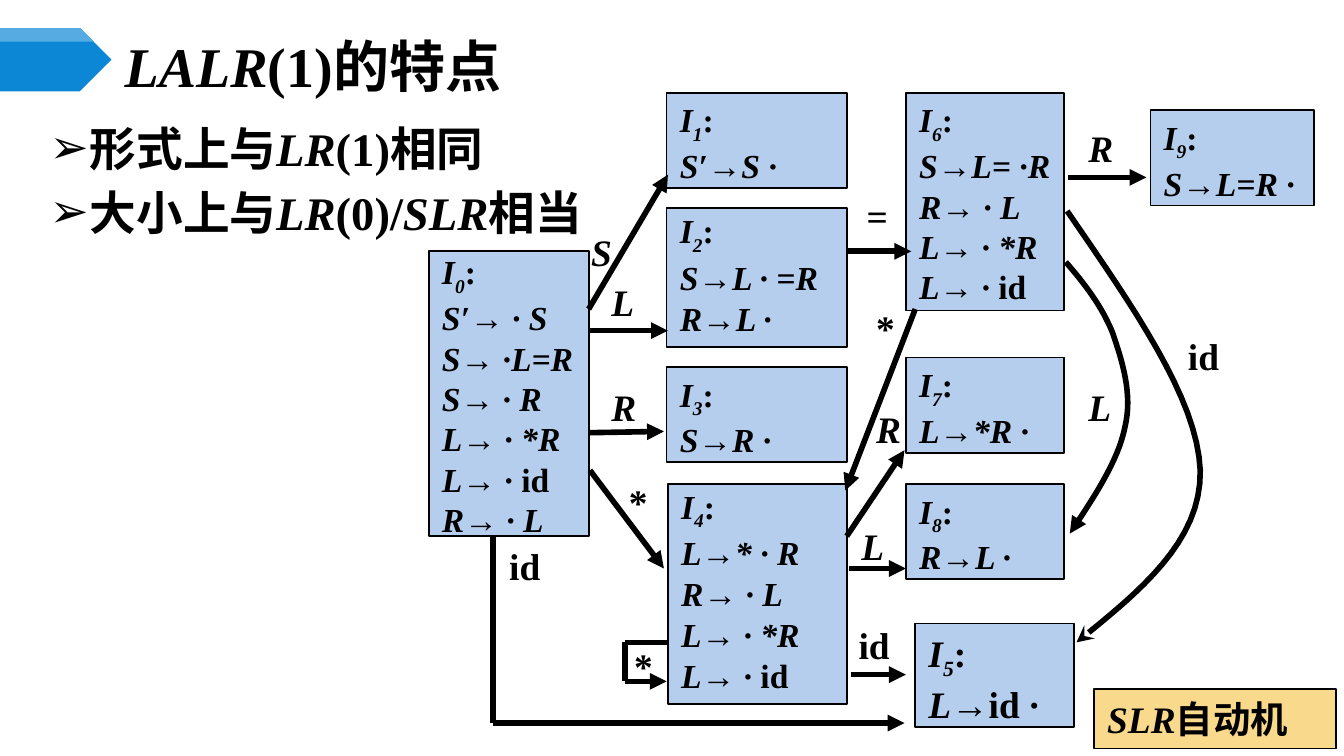
from dataclasses import dataclass

from lxml.etree import SubElement
from pptx import Presentation
from pptx.dml.color import RGBColor as RGB
from pptx.enum.shapes import MSO_CONNECTOR as LINK, MSO_SHAPE as SHAPE
from pptx.enum.text import MSO_ANCHOR as ANCHOR, PP_ALIGN as ALIGN
from pptx.oxml.ns import qn
from pptx.util import Cm, Pt


@dataclass(frozen=True)
class Theme:
    ink: RGB = RGB(0, 0, 0)
    state: RGB = RGB(0xB5, 0xCE, 0xED)
    caption: RGB = RGB(0xF9, 0xD9, 0x8C)
    accent: RGB = RGB(0x0B, 0x87, 0xD6)
    accent_light: RGB = RGB(0x55, 0xAB, 0xE2)
    serif: str = "Times New Roman"
    sans: str = "Arial"
    cjk: str = "Noto Sans CJK SC"
    title: int = 30
    body: int = 25
    label: int = 20
    item: int = 18
    edge: float = 3


def inch(value):
    return Cm(value * 2.54)


def bezier(start, curves, steps=16):
    """Points along a chain of cubic curves, each (control, control, end)."""
    points = [start]
    for curve in curves:
        knots = (points[-1], *curve)
        for i in range(1, steps + 1):
            t = i / steps
            weights = ((1 - t) ** 3, 3 * t * (1 - t) ** 2, 3 * t * t * (1 - t), t ** 3)
            points.append(tuple(sum(w * k[axis] for w, k in zip(weights, knots))
                                for axis in (0, 1)))
    return points


class Sketch:
    """Draws on one slide in one style; positions are in inches."""

    def __init__(self, slide, theme):
        self.shapes = slide.shapes
        self.theme = theme

    def run(self, p, text, size, italic=False, font=None, sub=False):
        r = p.add_run()
        r.text = text
        f = r.font
        f.size, f.bold, f.italic = Pt(size), True, italic
        f.name = font or self.theme.serif
        f.color.rgb = self.theme.ink
        SubElement(f._element, qn("a:ea")).set("typeface", self.theme.cjk)
        if sub:
            f._element.set("baseline", "-25000")

    def text(self, box, runs, size, anchor=ANCHOR.TOP):
        sp = self.shapes.add_textbox(*map(inch, box))
        tf = sp.text_frame
        tf.word_wrap = True
        tf.vertical_anchor = anchor
        for run in runs:
            self.run(tf.paragraphs[0], run[0], size, *run[1:])
        return tf.paragraphs[0]

    def bullet(self, box, runs):
        pPr = self.text(box, runs, self.theme.body)._p.get_or_add_pPr()
        pPr.set("marL", str(inch(0.3)))
        pPr.set("indent", str(-inch(0.3)))
        SubElement(pPr, qn("a:buFont")).set("typeface", self.theme.sans)
        SubElement(pPr, qn("a:buChar")).set("char", "➢")

    def label(self, x, y, text):
        self.text((x, y, 0.58, 0.44), [(text, text in "SLR")], self.theme.label)

    def plain(self, sp, color):
        sp.shadow.inherit = False
        sp.fill.solid()
        sp.fill.fore_color.rgb = color
        sp.line.fill.background()

    def box(self, box, color):
        sp = self.shapes.add_shape(SHAPE.RECTANGLE, *map(inch, box))
        self.plain(sp, color)
        sp.line.color.rgb = self.theme.ink
        sp.line.width = Pt(1)
        tf = sp.text_frame
        tf.word_wrap = True
        tf.vertical_anchor = ANCHOR.TOP
        tf.margin_right = inch(0.05)
        tf.paragraphs[0].alignment = ALIGN.LEFT
        return tf

    def production(self, p, line, size):
        """One production in italics, with the token id upright."""
        before, token, after = line.partition("id")
        for part, italic in ((before, True), (token, False), (after, True)):
            if part:
                self.run(p, part, size, italic)

    def state(self, number, box, items, size=None, pitch=None, inset=0.05):
        """An item set: its name, then a paragraph per item, broken at newlines."""
        size = size or self.theme.item
        tf = self.box(box, self.theme.state)
        tf.margin_top = tf.margin_bottom = inch(inset)
        p = tf.paragraphs[0]
        self.run(p, "I", size, True)
        self.run(p, str(number), size, True, sub=True)
        self.run(p, ":", size)
        for item in items:
            p = tf.add_paragraph()
            p.alignment = ALIGN.LEFT
            for i, line in enumerate(item.split("\n")):
                if i:
                    p.add_line_break()
                self.production(p, line, size)
        if pitch:
            for p in tf.paragraphs:
                p.line_spacing = Pt(pitch)

    def stroke(self, sp, head):
        sp.line.color.rgb = self.theme.ink
        sp.line.width = Pt(self.theme.edge)
        if head:
            SubElement(sp.line._get_or_add_ln(), qn("a:tailEnd")).set("type", head)

    def edge(self, start, end, head="triangle"):
        c = self.shapes.add_connector(LINK.STRAIGHT, *map(inch, (*start, *end)))
        self.stroke(c, head)
        SubElement(c._element.spPr, qn("a:effectLst"))

    def outline(self, points, close):
        points = [(inch(x), inch(y)) for x, y in points]
        builder = self.shapes.build_freeform(*points[0])
        builder.add_line_segments(points[1:], close=close)
        return builder.convert_to_shape()

    def curve(self, start, curves, head):
        sp = self.outline(bezier(start, curves), close=False)
        sp.shadow.inherit = False
        sp.fill.background()
        self.stroke(sp, head)

    def banner(self):
        sp = self.shapes.add_shape(SHAPE.PENTAGON, *map(inch, (0, 0.21, 0.83, 0.47)))
        self.plain(sp, self.theme.accent)
        stripe = [(0, 0.21), (0.6, 0.21), (0.7, 0.31), (0, 0.31)]
        self.plain(self.outline(stripe, close=True), self.theme.accent_light)


def main():
    prs = Presentation()
    prs.slide_width = Cm(25.4)
    prs.slide_height = prs.slide_width * 9 // 16
    theme = Theme()
    s = Sketch(prs.slides.add_slide(prs.slide_layouts[6]), theme)

    s.banner()
    s.text((0.83, 0.29, 8.67, 0.39),
           [("LALR", True), ("(1)",), ("的特点", False, theme.cjk)], theme.title, ANCHOR.MIDDLE)
    s.bullet((0.27, 0.84, 6.01, 0.47), [("形式上与",), ("LR", True), ("(1)相同",)])
    s.bullet((0.27, 1.32, 6.48, 0.63),
             [("大小上与", False, theme.sans), ("LR", True), ("(0)/",), ("SLR", True),
              ("相当", False, theme.sans)])

    left, mid, right = 3.19, 4.96, 6.74
    narrow, wide, short = 1.18, 1.34, 0.71
    s.state(0, (left, 1.87, 1.19, 2.12),
            ["S′→ · S", "S→ ·L=R", "S→ · R", "L→ · *R", "L→ · id", "R→ · L"], inset=0)
    s.state(1, (mid, 0.69, wide, short), ["S′→S ·"])
    s.state(2, (mid, 1.55, wide, 1.03), ["S→L · =R", "R→L ·"], pitch=22)
    s.state(3, (mid, 2.73, wide, short), ["S→R ·"])
    s.state(4, (4.97, 3.6, 1.33, 1.64), ["L→* · R", "R→ · L\nL→ · *R\nL→ · id"], pitch=22)
    s.state(5, (6.81, 4.64, narrow, 0.77), ["L→id ·"], size=theme.label)
    s.state(6, (right, 0.69, narrow, 1.62), ["S→L= ·R\nR→ · L\nL→ · *R\nL→ · id"])
    s.state(7, (right, 2.66, narrow, short), ["L→*R ·"])
    s.state(8, (right, 3.6, narrow, short), ["R→L ·"])
    s.state(9, (8.56, 0.82, 1.22, short), ["S→L=R ·"])

    for start, end in (
        ((4.38, 2.3), (4.97, 1.3)), ((4.38, 2.46), (4.97, 2.46)),
        ((4.38, 3.22), (4.94, 3.21)), ((4.39, 3.5), (4.94, 4.23)),
        ((6.3, 1.87), (6.78, 1.87)), ((6.81, 2.3), (6.29, 3.65)),
        ((6.3, 3.99), (6.73, 3.35)), ((6.32, 4.23), (6.74, 4.23)),
        ((6.33, 5.02), (6.74, 5.02)), ((7.95, 1.32), (8.53, 1.32)),
        ((4.65, 5.07), (4.96, 5.07)), ((3.67, 5.38), (6.73, 5.38)),
    ):
        s.edge(start, end)
    for start, end in (((4.65, 4.78), (4.96, 4.78)), ((4.65, 4.78), (4.65, 5.07)),
                       ((3.67, 5.38), (3.67, 3.99))):
        s.edge(start, end, head=None)
    s.curve((7.93, 1.95), [((8.07, 2.11), (8.2, 2.28), (8.28, 2.48)),
                           ((8.35, 2.69), (8.43, 2.93), (8.37, 3.18)),
                           ((8.32, 3.43), (8.14, 3.7), (7.96, 3.97))], "triangle")
    s.curve((7.94, 1.57), [((8.42, 2.27), (8.91, 2.96), (8.93, 3.5)),
                           ((8.94, 4.03), (8.48, 4.4), (8.01, 4.78))], "stealth")

    for x, y, text in (
        (4.3, 1.66, "S"), (4.45, 2.03, "L"), (4.45, 2.81, "R"), (4.58, 3.52, "*"),
        (3.69, 3.99, "id"), (6.35, 1.39, "="), (6.42, 2.22, "*"), (6.42, 2.97, "R"),
        (6.31, 3.84, "L"), (6.29, 4.58, "id"), (4.62, 4.74, "*"), (8, 0.88, "R"),
        (8, 2.81, "L"), (8.74, 2.43, "id"),
    ):
        s.label(x, y, text)

    p = s.box((8.14, 5.13, 1.8, 0.44), theme.caption).paragraphs[0]
    s.run(p, "SLR", theme.label, True)
    s.run(p, "自动机", theme.label, font=theme.cjk)

    prs.save("out.pptx")


if __name__ == "__main__":
    main()
